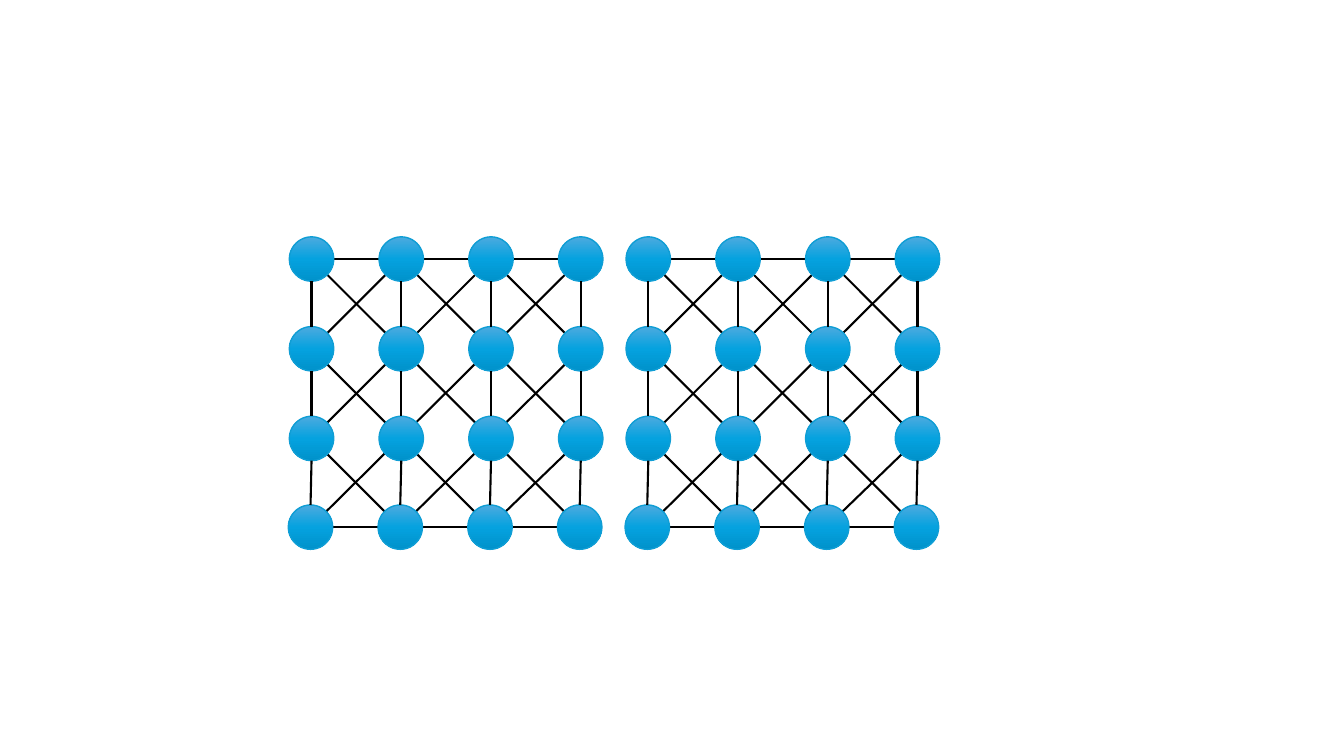
from copy import deepcopy
from dataclasses import dataclass
from itertools import product
from math import hypot

from lxml.etree import SubElement
from pptx import Presentation
from pptx.dml.color import RGBColor
from pptx.enum.shapes import MSO_CONNECTOR, MSO_SHAPE
from pptx.oxml.ns import qn
from pptx.slide import Slide
from pptx.util import Inches, Pt

COLORS = {
    "link": "000000",
    "node_top": "4CAADF",
    "node_middle": "05A2DF",
    "node_bottom": "0092CB",
    "node_rim": "0F9ED5",
}
SIZE = 4
LAST = SIZE - 1
PITCH = 0.89
RADIUS = 0.22
LAST_ROW_SHIFT = -0.01


@dataclass(frozen=True)
class Cell:
    column: int
    row: int


@dataclass(frozen=True)
class Link:
    start: Cell
    end: Cell


@dataclass(frozen=True)
class Lattice:
    """A square of nodes, placed by the centre of its first node."""
    left: float
    top: float

    def center(self, cell: Cell) -> tuple[float, float]:
        shift = LAST_ROW_SHIFT if cell.row == LAST else 0
        return (self.left + cell.column * PITCH + shift,
                self.top + cell.row * PITCH + shift)


LATTICES = [Lattice(3.09, 2.57), Lattice(6.43, 2.57)]


def row_links() -> list[Link]:
    return [Link(Cell(0, row), Cell(LAST, row)) for row in (0, LAST)]


def column_links() -> list[Link]:
    return [Link(Cell(column, row), Cell(column, row + 1))
            for row, column in product(range(LAST), range(SIZE))]


def diagonal_links() -> list[Link]:
    """Every falling diagonal of the lattice, and its mirrored rising one."""
    links = []
    for offset in range(-LAST + 1, LAST):
        first = Cell(max(offset, 0), max(-offset, 0))
        final = Cell(LAST - max(-offset, 0), LAST - max(offset, 0))
        links.append(Link(first, final))
        links.append(Link(Cell(LAST - first.column, first.row),
                          Cell(LAST - final.column, final.row)))
    return links


def draw_link(page: Slide, lattice: Lattice, link: Link) -> None:
    """Draw a line between the facing rims of two nodes."""
    columns = link.end.column - link.start.column
    rows = link.end.row - link.start.row
    length = hypot(columns, rows)
    trim_x, trim_y = RADIUS * columns / length, RADIUS * rows / length
    start_x, start_y = lattice.center(link.start)
    end_x, end_y = lattice.center(link.end)
    line = page.shapes.add_connector(
        MSO_CONNECTOR.STRAIGHT,
        Inches(start_x + trim_x), Inches(start_y + trim_y),
        Inches(end_x - trim_x), Inches(end_y - trim_y))
    line.line.color.rgb = RGBColor.from_string(COLORS["link"])
    line.line.width = Pt(1.5)
    SubElement(line._element.spPr, qn("a:effectLst"))


def draw_node(page: Slide, lattice: Lattice, cell: Cell) -> None:
    x, y = lattice.center(cell)
    node = page.shapes.add_shape(
        MSO_SHAPE.OVAL, Inches(x - RADIUS), Inches(y - RADIUS),
        Inches(2 * RADIUS), Inches(2 * RADIUS))
    node.shadow.inherit = False
    node.fill.gradient()
    node.fill.gradient_angle = 270
    stop_list = node._element.spPr.find(".//" + qn("a:gsLst"))
    stop_list.append(deepcopy(stop_list[-1]))
    names = ("node_top", "node_middle", "node_bottom")
    for index, (stop, name) in enumerate(zip(node.fill.gradient_stops, names)):
        stop.position = index / 2
        stop.color.rgb = RGBColor.from_string(COLORS[name])
    node.line.color.rgb = RGBColor.from_string(COLORS["node_rim"])
    node.line.width = Pt(1)


def draw_lattice(page: Slide, lattice: Lattice) -> None:
    for link in row_links() + diagonal_links():
        draw_link(page, lattice, link)
    for row, column in product(range(SIZE), repeat=2):
        draw_node(page, lattice, Cell(column, row))
    for link in column_links():
        draw_link(page, lattice, link)


def main() -> None:
    deck = Presentation()
    deck.slide_width, deck.slide_height = Inches(13.33), Inches(7.5)
    page = deck.slides.add_slide(deck.slide_layouts[6])
    for lattice in LATTICES:
        draw_lattice(page, lattice)
    deck.save("out.pptx")


if __name__ == "__main__":
    main()
